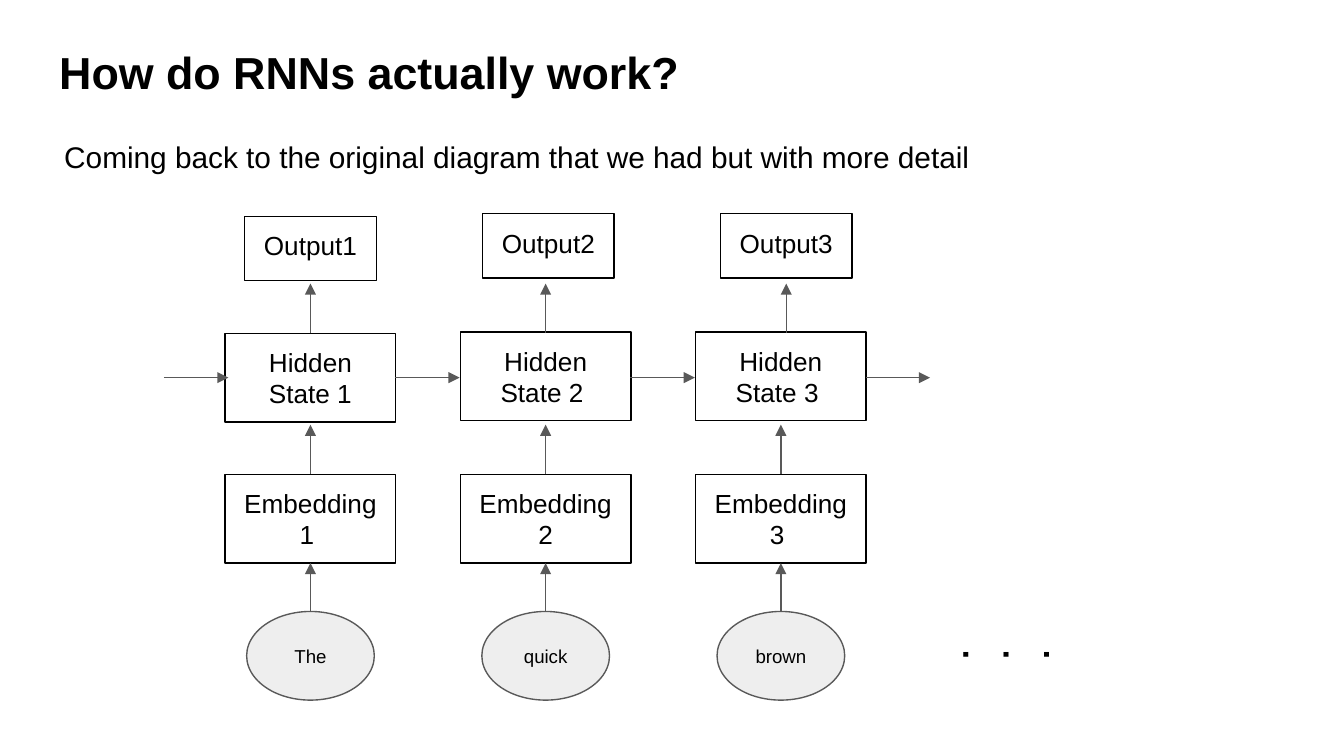
"""Build a slide that shows an unrolled recurrent neural network."""
import pptx
import pptx.util
import pptx.oxml
import pptx.oxml.ns
from pptx.dml.color import RGBColor
from pptx.enum.shapes import MSO_CONNECTOR, MSO_SHAPE
from pptx.enum.text import MSO_ANCHOR, MSO_AUTO_SIZE, PP_ALIGN

BLACK = RGBColor(0x00, 0x00, 0x00)
GREY = RGBColor(0x59, 0x59, 0x59)
PALE = RGBColor(0xEE, 0xEE, 0xEE)

SLIDE_WIDTH = 10
SLIDE_HEIGHT = SLIDE_WIDTH * 9 / 16
TITLE = "How do RNNs actually work?"
SUBTITLE = "Coming back to the original diagram that we had but with more detail"
STEPS = [
    {"word": "The", "embedding": "Embedding 1 ", "hidden": "Hidden State 1", "output": "Output1"},
    {"word": "quick", "embedding": "Embedding 2", "hidden": "Hidden State 2 ", "output": "Output2"},
    {"word": "brown", "embedding": "Embedding 3 ", "hidden": "Hidden State 3 ", "output": "Output3"},
]
RECT, OVAL = MSO_SHAPE.RECTANGLE, MSO_SHAPE.OVAL
TOP, MIDDLE = MSO_ANCHOR.TOP, MSO_ANCHOR.MIDDLE
ROWS = {
    "word": (OVAL, 4.55, 0.95, 0.66, PALE, GREY, 10, MIDDLE),
    "embedding": (RECT, 3.53, 1.27, 0.66, None, BLACK, 14, MIDDLE),
    "hidden": (RECT, 2.47, 1.27, 0.66, None, BLACK, 14, MIDDLE),
    "output": (RECT, 1.59, 0.98, 0.48, None, BLACK, 14, TOP),
}
FIRST_X, PITCH, OUTPUT_PITCH = 2.31, 1.75, 1.77
FIRST_STEP_DROP = {"hidden": 0.01, "output": 0.02}
RISES = [(4.55, 4.19), (3.53, 3.16), (2.48, 2.11)]
LAST_OUTPUT_ARROW_SHIFT = 0.04
STATE_Y, FLOW_STARTS, FLOW_LENGTH = 2.81, (1.22, 2.94, 4.69, 6.44), 0.48


def inches(*values):
    return [pptx.util.Inches(v) for v in values]


def write(s, lines, size, align=PP_ALIGN.CENTER, anchor=TOP, bold=False):
    tf = s.text_frame
    tf.word_wrap = True
    tf.auto_size = MSO_AUTO_SIZE.NONE
    tf.vertical_anchor = anchor
    tf.margin_left = tf.margin_right = tf.margin_top = tf.margin_bottom = pptx.util.Inches(0.1)
    tf.text = "\n".join(lines)
    for p in tf.paragraphs:
        p.alignment = align
        p.font.name, p.font.size, p.font.bold = "Arial", pptx.util.Pt(size), bold
        p.font.color.rgb = BLACK


def add_node(slide, row, text, step):
    kind, top, width, height, fill, line, size, anchor = ROWS[row]
    centre = FIRST_X + step * (OUTPUT_PITCH if row == "output" else PITCH)
    top += FIRST_STEP_DROP.get(row, 0) if step == 0 else 0
    s = slide.shapes.add_shape(kind, *inches(centre - width / 2, top, width, height))
    s.shadow.inherit = False
    if fill is None:
        s.fill.background()
    else:
        s.fill.solid()
        s.fill.fore_color.rgb = fill
    s.line.color.rgb, s.line.width = line, pptx.util.Pt(0.75)
    write(s, [text], size, anchor=anchor)


def add_arrow(slide, x1, y1, x2, y2):
    s = slide.shapes.add_connector(MSO_CONNECTOR.STRAIGHT, *inches(x1, y1, x2, y2))
    s.line.color.rgb, s.line.width = GREY, pptx.util.Pt(0.75)
    ns = pptx.oxml.ns.nsdecls("a")
    s.get_or_add_ln().append(pptx.oxml.parse_xml(f'<a:tailEnd {ns} type="triangle"/>'))
    s.element.spPr.append(pptx.oxml.parse_xml(f"<a:effectLst {ns}/>"))


def main():
    prs = pptx.Presentation()
    prs.slide_width, prs.slide_height = inches(SLIDE_WIDTH, SLIDE_HEIGHT)
    slide = prs.slides.add_slide(prs.slide_layouts.get_by_name("Title Only"))

    title = slide.shapes.title
    title.left, title.top, title.width, title.height = inches(0.34, 0.17, 9.32, 0.48)
    write(title, [TITLE], 24, PP_ALIGN.LEFT, bold=True)
    p = title.text_frame.paragraphs[0]
    p.line_spacing, p.space_after = 1.15, pptx.util.Pt(16)

    subtitle = slide.shapes.add_textbox(*inches(0.38, 0.93, 9.24, 0.48))
    write(subtitle, [SUBTITLE], 16, PP_ALIGN.LEFT)

    for step, texts in enumerate(STEPS):
        for row, text in texts.items():
            add_node(slide, row, text, step)
        for level, (start, end) in enumerate(RISES):
            x = FIRST_X + step * PITCH
            if step == len(STEPS) - 1 and level == len(RISES) - 1:
                x += LAST_OUTPUT_ARROW_SHIFT
            add_arrow(slide, x, start, x, end)
    for x in FLOW_STARTS:
        add_arrow(slide, x, STATE_Y, x + FLOW_LENGTH, STATE_Y)

    dots = slide.shapes.add_textbox(*inches(6.83, 4.41, 0.98, 0.93))
    dots.rotation = 270
    write(dots, ["."] * 3, 18, bold=True)

    prs.save("out.pptx")


if __name__ == "__main__":
    main()
